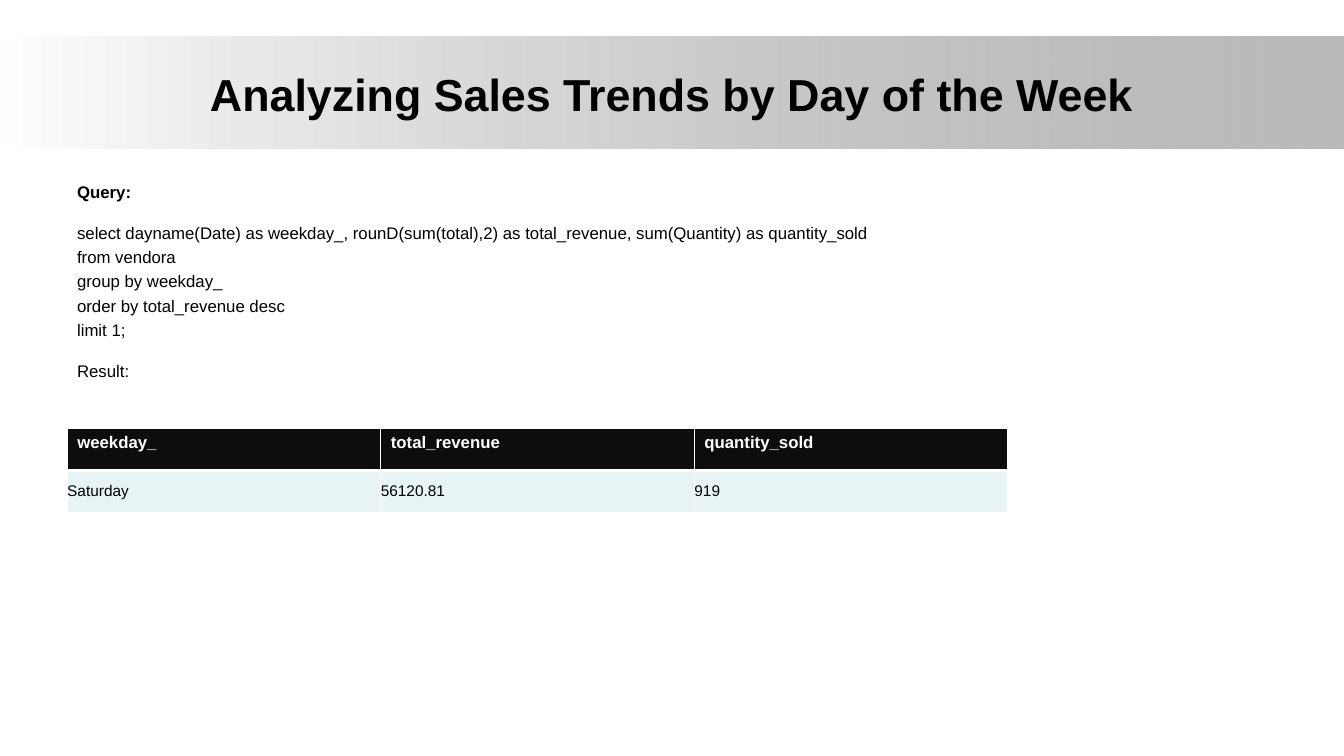
from lxml.etree import SubElement
from pptx import Presentation
from pptx.dml.color import RGBColor
from pptx.enum.shapes import MSO_SHAPE
from pptx.enum.text import MSO_ANCHOR, PP_ALIGN
from pptx.oxml.ns import qn
from pptx.util import Pt

COLORS = {
    "black": "000000",
    "white": "FFFFFF",
    "gray": "808080",
    "header": "0D0D0D",
    "row": "E7F3F4",
}
TITLE_FONT = {"name": "Arial", "size": Pt(32), "bold": True}
LABEL_FONT = {"name": "Arial", "size": Pt(12), "bold": True}
QUERY_FONT = {**LABEL_FONT, "bold": False}
VALUE_FONT = {**QUERY_FONT, "size": Pt(11)}
VALUE_CELL = {
    "vertical_anchor": MSO_ANCHOR.MIDDLE,
    "margin_left": 0,
    "margin_top": 0,
    "margin_right": 0,
    "margin_bottom": 0,
}
LINE_GAP = 3
SECTION_GAP = 14.8
QUERY_LINES = [
    ("Query:", LABEL_FONT, 0),
    ("select dayname(Date) as weekday_, rounD(sum(total),2) as total_revenue, "
     "sum(Quantity) as quantity_sold", QUERY_FONT, SECTION_GAP),
    ("from vendora", QUERY_FONT, LINE_GAP),
    ("group by weekday_", QUERY_FONT, LINE_GAP),
    ("order by total_revenue desc", QUERY_FONT, LINE_GAP),
    ("limit 1;", QUERY_FONT, LINE_GAP),
    ("Result:", QUERY_FONT, SECTION_GAP),
]
RESULT_ROWS = [
    ("weekday_", "total_revenue", "quantity_sold"),
    ("Saturday", "56120.81", "919"),
]
ROW_STYLES = [
    {"fill": "header", "color": "white", "font": LABEL_FONT, "cell": {}, "bottom": 3},
    {"fill": "row", "color": "black", "font": VALUE_FONT, "cell": VALUE_CELL, "bottom": 1},
]


def rgb(color):
    return RGBColor.from_string(COLORS[color])


def apply_format(target, values):
    for name, value in values.items():
        setattr(target, name, value)


def write_text(paragraph, text, font, color="black"):
    run = paragraph.add_run()
    run.text = text
    apply_format(run.font, font)
    run.font.color.rgb = rgb(color)


def add_band(slide, left, top, width, height):
    shape = slide.shapes.add_shape(
        MSO_SHAPE.RECTANGLE, Pt(left), Pt(top), Pt(width), Pt(height))
    shape.shadow.inherit = False
    shape.line.fill.background()
    shape.fill.gradient()
    shape.fill.gradient_angle = 0
    for stop, color in zip(shape.fill.gradient_stops, ("white", "gray")):
        stop.color.rgb = rgb(color)
    last_stop = shape.element.findall(".//" + qn("a:gs"))[-1]
    SubElement(last_stop[0], qn("a:alpha"), val="54000")


def add_text_frame(slide, left, top, width, height, anchor):
    text_box = slide.shapes.add_textbox(Pt(left), Pt(top), Pt(width), Pt(height))
    frame = text_box.text_frame
    apply_format(frame, {"word_wrap": True, "vertical_anchor": anchor})
    return frame


def add_title(slide, text):
    frame = add_text_frame(slide, 48, 21.6, 864, 90, MSO_ANCHOR.MIDDLE)
    paragraph = frame.paragraphs[0]
    paragraph.alignment = PP_ALIGN.CENTER
    write_text(paragraph, text, TITLE_FONT)


def add_query(slide, lines):
    frame = add_text_frame(slide, 48, 126, 864, 170, MSO_ANCHOR.TOP)
    for index, (text, font, gap) in enumerate(lines):
        paragraph = frame.add_paragraph() if index else frame.paragraphs[0]
        paragraph.space_before = Pt(gap)
        write_text(paragraph, text, font)


def add_borders(cell, bottom):
    properties = cell._tc.get_or_add_tcPr()
    for side, width in {"L": 1, "R": 1, "T": 1, "B": bottom}.items():
        line = SubElement(properties, qn(f"a:ln{side}"), w=str(Pt(width)))
        fill = SubElement(line, qn("a:solidFill"))
        SubElement(fill, qn("a:srgbClr"), val=COLORS["white"])


def add_result_table(slide, rows):
    table = slide.shapes.add_table(
        len(rows), len(rows[0]), Pt(48), Pt(306), Pt(672), Pt(60)).table
    for row_index, (values, style) in enumerate(zip(rows, ROW_STYLES)):
        for column_index, value in enumerate(values):
            cell = table.cell(row_index, column_index)
            apply_format(cell, style["cell"])
            add_borders(cell, style["bottom"])
            cell.fill.solid()
            cell.fill.fore_color.rgb = rgb(style["fill"])
            write_text(cell.text_frame.paragraphs[0], value, style["font"], style["color"])


def main():
    presentation = Presentation()
    apply_format(presentation, {"slide_width": Pt(960), "slide_height": Pt(540)})
    slide = presentation.slides.add_slide(presentation.slide_layouts[6])
    add_band(slide, 0, 26, 960, 80)
    add_title(slide, "Analyzing Sales Trends by Day of the Week")
    add_query(slide, QUERY_LINES)
    add_result_table(slide, RESULT_ROWS)
    presentation.save("out.pptx")


if __name__ == "__main__":
    main()
